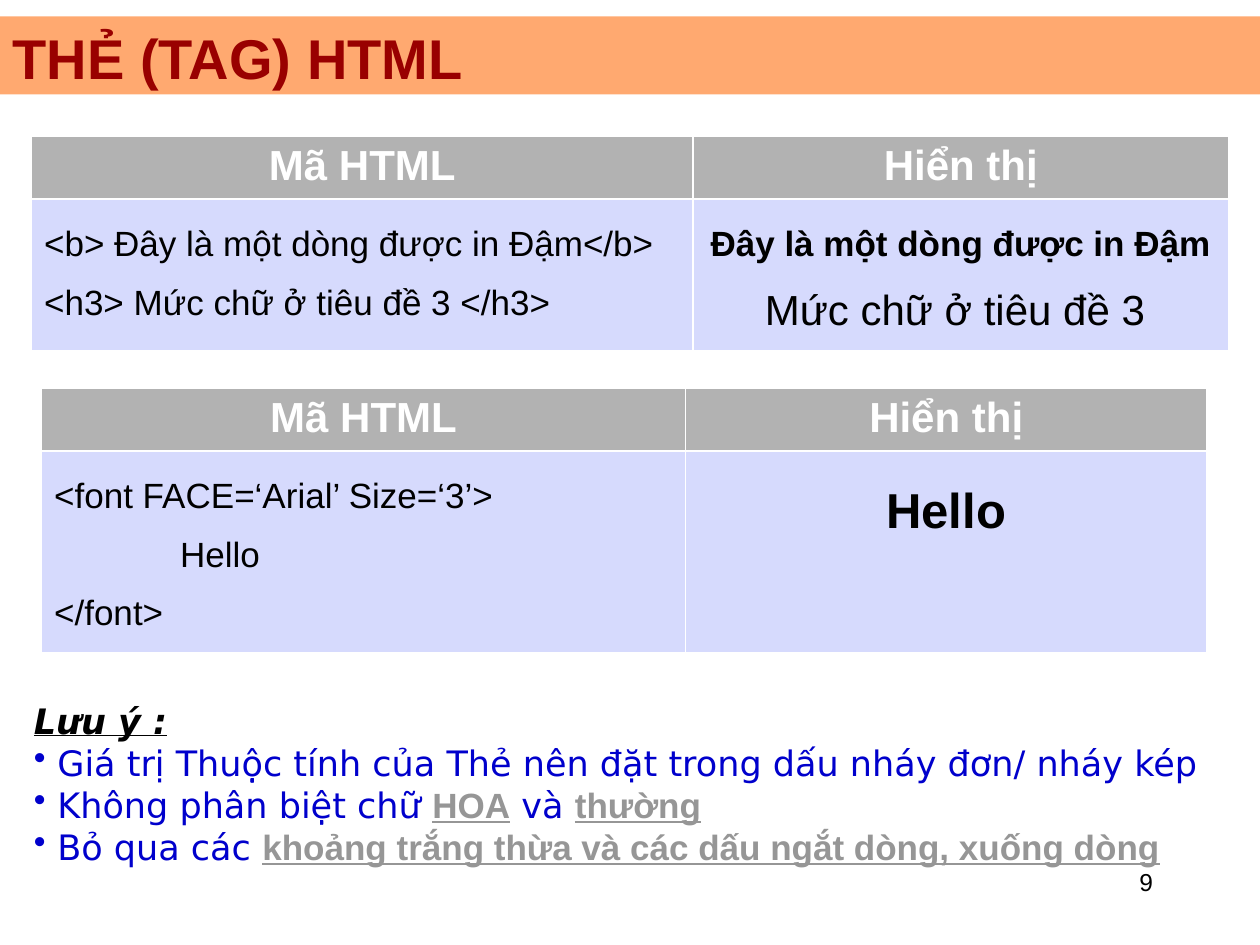
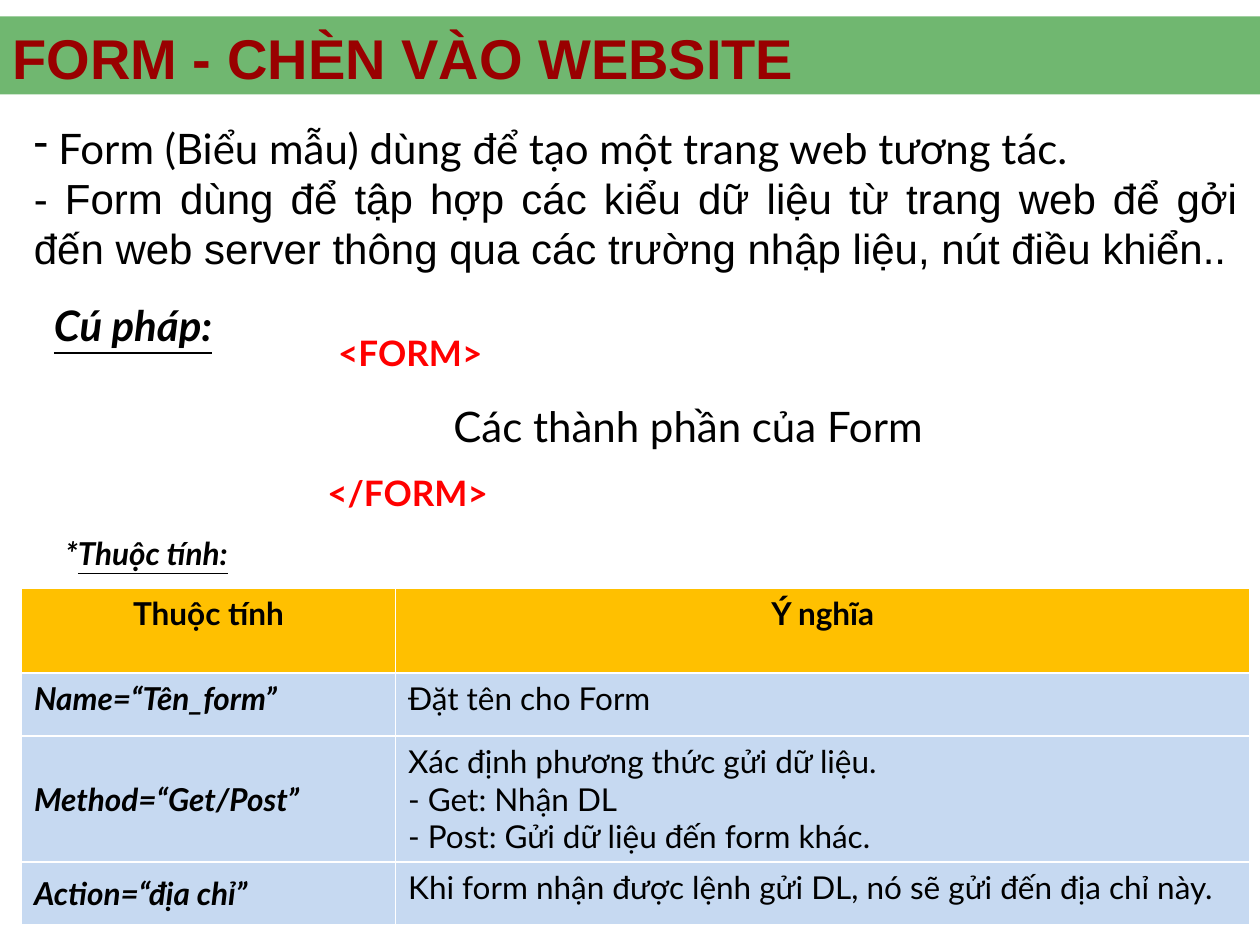
"""Build two lesson slides about HTML tags and forms."""
import lxml.etree
import pptx
import pptx.dml.color
import pptx.enum.shapes
import pptx.enum.text
import pptx.oxml.ns
import pptx.util

Inches = pptx.util.Inches
Align = pptx.enum.text.PP_ALIGN
Anchor = pptx.enum.text.MSO_ANCHOR
qn = pptx.oxml.ns.qn

COLORS = {
    "title": "990000", "orange": "FF6600", "green": "008000", "text": "000000",
    "white": "FFFFFF", "gray": "B2B2B2", "lavender": "D6DAFD", "blue": "0000CC",
    "muted": "969696", "red": "FF0000", "gold": "FFC000", "sky": "C6D9F1",
}


def rgb(name):
    """Return the named colour."""
    return pptx.dml.color.RGBColor.from_string(COLORS[name])


def write(para, text, size=20, font="Arial", color="text", bold=False, italic=False, underline=False):
    """Add a formatted span of text to a paragraph."""
    span = para.add_run()
    span.text = text
    span.font.size = pptx.util.Pt(size)
    span.font.name = font
    span.font.color.rgb = rgb(color)
    span.font.bold, span.font.italic, span.font.underline = bold, italic, underline


def line(*spans, align=Align.LEFT, spacing=None, margin=0, first=0, bullet=None, bullet_color="text", **style):
    """Describe a paragraph whose spans are strings or (text, format) pairs."""
    pairs = [(item, {}) if isinstance(item, str) else item for item in spans]
    return {
        "spans": [(text, {**style, **extra}) for text, extra in pairs],
        "align": align, "spacing": spacing, "margin": margin, "first": first,
        "bullet": bullet, "bullet_color": bullet_color,
    }


class Lesson:
    """Hold the shared style and the current slide."""

    def __init__(self):
        """Start an empty deck."""
        self.deck = pptx.Presentation()
        self.deck.slide_width, self.deck.slide_height = Inches(10), Inches(7.5)
        self.page = None

    def add_page(self, title, band_color):
        """Add a slide with a title on a translucent band."""
        self.page = self.deck.slides.add_slide(self.deck.slide_layouts[5])
        self.add_band(band_color)
        box = self.page.shapes.title
        box.left, box.top, box.width, box.height = Inches(0), Inches(0.24), Inches(10), Inches(0.42)
        self.fill_frame(box.text_frame, [line(title, size=32, color="title", bold=True)])
        box.text_frame.vertical_anchor = Anchor.MIDDLE

    def add_band(self, color):
        """Put the title band behind everything else."""
        band = self.page.shapes.add_shape(
            pptx.enum.shapes.MSO_SHAPE.RECTANGLE, Inches(0), Inches(0.13), Inches(10), Inches(0.62))
        band.shadow.inherit = False
        band.line.fill.background()
        band.fill.solid()
        band.fill.fore_color.rgb = rgb(color)
        tint = band._element.spPr.find(qn("a:solidFill"))[0]
        lxml.etree.SubElement(tint, qn("a:alpha"), val="56000")
        self.page.shapes._spTree.insert(2, band._element)

    def add_text(self, left, top, width, height, *lines):
        """Add a wrapped text box."""
        box = self.page.shapes.add_textbox(Inches(left), Inches(top), Inches(width), Inches(height))
        self.fill_frame(box.text_frame, lines)

    def fill_frame(self, frame, lines):
        """Write the described paragraphs into a text frame."""
        frame.word_wrap = True
        frame.auto_size = pptx.enum.text.MSO_AUTO_SIZE.NONE
        self.fill_lines(frame, lines)

    def fill_lines(self, frame, lines):
        """Write paragraphs with their spacing, indents and bullets."""
        for index, item in enumerate(lines):
            para = frame.paragraphs[0] if index == 0 else frame.add_paragraph()
            para.alignment = item["align"]
            if item["spacing"]:
                para.line_spacing = item["spacing"]
            props = para._p.get_or_add_pPr()
            props.set("marL", str(Inches(item["margin"])))
            props.set("indent", str(Inches(item["first"])))
            if item["bullet"]:
                tint = lxml.etree.SubElement(props, qn("a:buClr"))
                lxml.etree.SubElement(tint, qn("a:srgbClr"), val=COLORS[item["bullet_color"]])
                lxml.etree.SubElement(props, qn("a:buChar"), char=item["bullet"])
            for text, style in item["spans"]:
                write(para, text, **style)

    def add_table(self, left, top, widths, heights, rows, head_color, body_color, middle_cells=()):
        """Add a table whose cells are lists of paragraphs."""
        table = self.page.shapes.add_table(
            len(rows), len(widths), Inches(left), Inches(top),
            Inches(sum(widths)), Inches(sum(heights))).table
        for column, width in zip(table.columns, widths):
            column.width = Inches(width)
        for row_index, (height, row) in enumerate(zip(heights, rows)):
            table.rows[row_index].height = Inches(height)
            for column_index, lines in enumerate(row):
                cell = table.cell(row_index, column_index)
                cell.fill.solid()
                cell.fill.fore_color.rgb = rgb(body_color if row_index else head_color)
                if (row_index, column_index) in middle_cells:
                    cell.vertical_anchor = Anchor.MIDDLE
                self.fill_lines(cell.text_frame, lines)

    def add_code_table(self, left, top, widths, body_height, code, result):
        """Add a table that pairs HTML code with its display."""
        heads = [[line(text, align=Align.CENTER, size=24, color="white", bold=True)]
                 for text in ("Mã HTML", "Hiển thị")]
        self.add_table(left, top, widths, (0.5, body_height), [heads, [code, result]], "gray", "lavender")


def build_tags(lesson):
    """Build the slide about HTML tags."""
    lesson.add_page("THẺ (TAG) HTML", "orange")
    lesson.add_text(7.17, 6.83, 2.08, 0.5, line("9", align=Align.RIGHT, size=14))
    lesson.add_code_table(
        0.25, 1.08, (5.25, 4.25), 1.2,
        [line(text, spacing=1.5) for text in (
            "<b> Đây là một dòng được in Đậm</b>", "<h3> Mức chữ ở tiêu đề 3 </h3>")],
        [line("Đây là một dòng được in Đậm", align=Align.CENTER, spacing=1.5, bold=True),
         line("Mức chữ ở tiêu đề 3 ", align=Align.CENTER, spacing=1.5, size=24)])
    lesson.add_code_table(
        0.33, 3.08, (5.11, 4.14), 1.6,
        [line("<font FACE=‘Arial’ Size=‘3’>", spacing=1.5),
         line("Hello", spacing=1.5, margin=1),
         line("</font>", spacing=1.5)],
        [line("Hello", align=Align.CENTER, spacing=1.5, size=28, bold=True)])
    key = {"font": "Arial", "color": "muted", "bold": True, "underline": True}
    notes = (
        [" Giá trị Thuộc tính của Thẻ nên đặt trong dấu nháy đơn/ nháy kép"],
        [" Không phân biệt chữ ", ("HOA", key), " và ", ("thường", key)],
        [" Bỏ qua các ", ("khoảng trắng thừa và các dấu ngắt dòng, xuống dòng", key)],
    )
    lesson.add_text(
        0.17, 5.5, 9.83, 1.77,
        line("Lưu ý :", align=Align.JUSTIFY, font="DejaVu Sans", bold=True, italic=True, underline=True),
        *[line(*note, align=Align.JUSTIFY, first=-0.14, bullet="•", bullet_color="blue",
               font="DejaVu Sans", color="blue") for note in notes])


def build_form(lesson):
    """Build the slide about the form tag."""
    lesson.add_page("FORM - CHÈN VÀO WEBSITE", "green")
    lesson.add_text(
        0.17, 0.92, 9.75, 1.3,
        line(" Form (Biểu mẫu) dùng để tạo một trang web tương tác.",
             align=Align.JUSTIFY, first=-0.17, bullet="-", size=24, font="Lato"),
        line("- Form dùng để tập hợp các kiểu dữ liệu từ trang web để gởi đến web server "
             "thông qua các trường nhập liệu, nút điều khiển..", align=Align.JUSTIFY, size=24))
    tag = {"size": 20, "color": "red", "bold": True}
    body = {"spacing": 1.5, "size": 24, "font": "Lato"}
    lesson.add_text(
        2.5, 2.33, 5, 1.8,
        line(" ", ("<FORM>", tag), **body),
        line("Các thành phần của Form", margin=1, **body),
        line(("</FORM>", tag), **body))
    strong = {"font": "Lato", "bold": True, "italic": True}
    lesson.add_text(0.33, 2.33, 1.69, 0.5, line("Cú pháp:", size=24, underline=True, **strong))
    attributes = (
        ("Name=“Tên_form”", ["Đặt tên cho Form"]),
        ("Method=“Get/Post”", ["Xác định phương thức gửi dữ liệu.", "- Get: Nhận DL",
                               "- Post: Gửi dữ liệu đến form khác."]),
        ("Action=“địa chỉ”", ["Khi form nhận được lệnh gửi DL, nó sẽ gửi đến địa chỉ này."]),
    )
    heads = [[line(text, align=Align.CENTER, size=18, font="Lato", bold=True)]
             for text in ("Thuộc tính", "Ý nghĩa")]
    rows = [[[line(name, size=18, **strong)], [line(text, size=18, font="Lato") for text in meaning]]
            for name, meaning in attributes]
    lesson.add_table(0.17, 4.67, (2.97, 6.78), (0.67, 0.5, 1, 0.5), [heads, *rows],
                     "gold", "sky", middle_cells=((2, 0), (3, 0)))
    lesson.add_text(
        0.42, 4.19, 8.75, 0.4,
        line("*", ("Thuộc tính:", {"underline": True}), margin=0.38, first=-0.38, size=18, **strong))


def main():
    """Build and save the deck."""
    lesson = Lesson()
    build_tags(lesson)
    build_form(lesson)
    lesson.deck.save("out.pptx")


if __name__ == "__main__":
    main()
